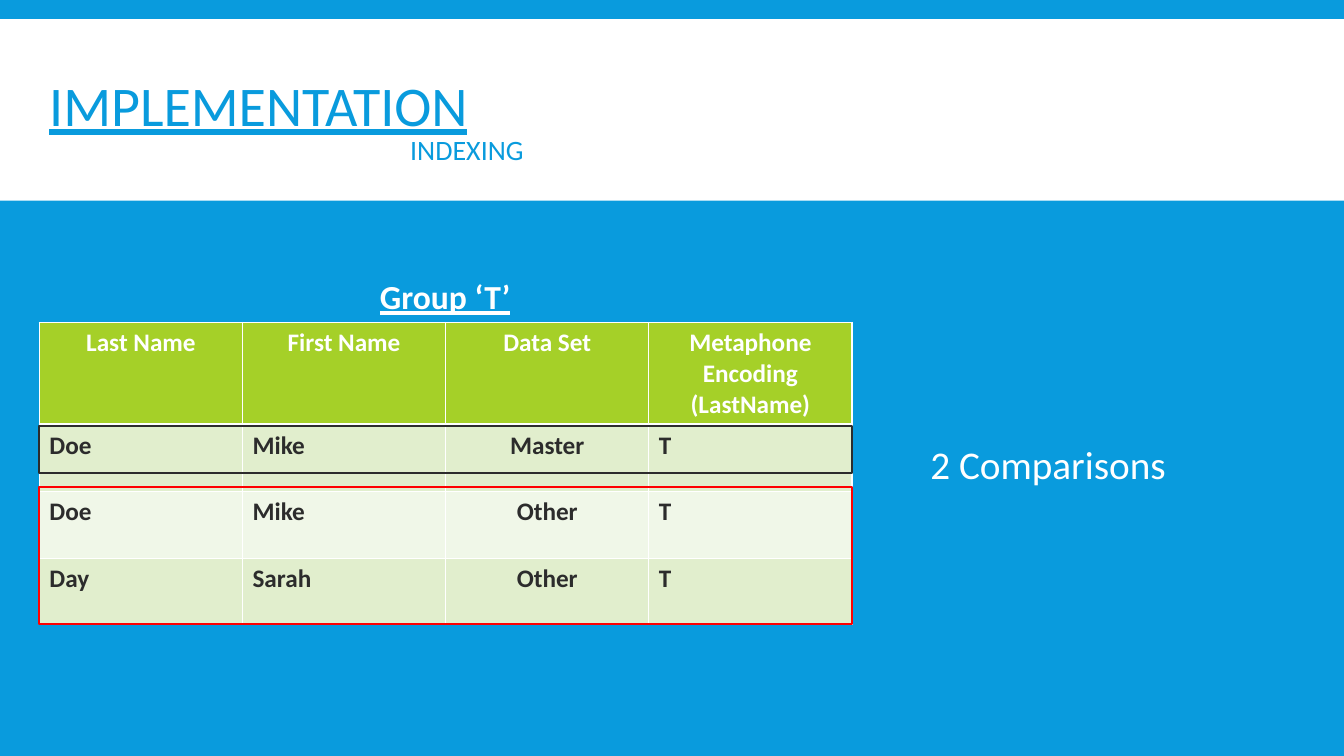
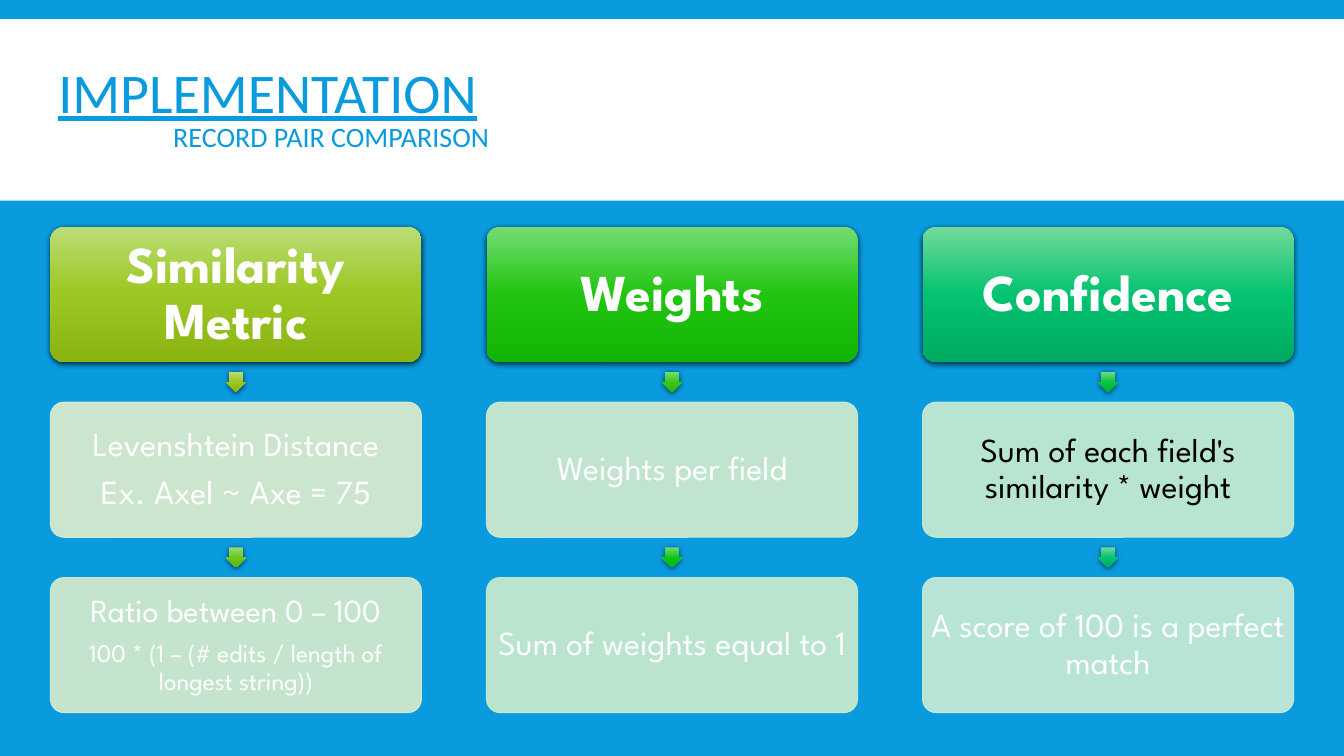
from lxml.etree import SubElement
from pptx import Presentation
from pptx.dml.color import RGBColor
from pptx.enum.shapes import MSO_SHAPE
from pptx.enum.text import MSO_ANCHOR, PP_ALIGN
from pptx.oxml.ns import qn
from pptx.util import Inches, Pt

BLUE, WHITE, DARK, RED, BLACK = "099BDD", "FFFFFF", "2C2C2C", "FF0000", "000000"
GREEN, PALE, PALER = "A5D028", "E1EECD", "F0F7E8"
SLIDE_WIDTH = 13.33


def color(value):
    return RGBColor.from_string(value)


def add_xml(parent, tag, **attributes):
    return SubElement(parent, qn(tag), {key: str(value) for key, value in attributes.items()})


class Deck:
    """Holds the shared style and the slide being built."""

    body_font = "Calibri"
    diagram_font = "League Spartan"

    def __init__(self):
        self.presentation = Presentation()
        self.presentation.slide_width = Inches(SLIDE_WIDTH)
        self.presentation.slide_height = Inches(7.5)
        self.slide = None

    def new_slide(self, left, top, subtitle, indent):
        """Start a slide with its blue ground, white band and two-line title."""
        self.slide = self.presentation.slides.add_slide(self.presentation.slide_layouts[6])
        background = self.slide.background.fill
        background.solid()
        background.fore_color.rgb = color(BLUE)
        self.shape(MSO_SHAPE.RECTANGLE, 0, 0.19, SLIDE_WIDTH, 1.8, fill=WHITE)
        frame = self.text_box(left, top, 10.7, 1.65)
        frame.vertical_anchor = MSO_ANCHOR.MIDDLE
        heading = self.set_text(frame.paragraphs[0], "IMPLEMENTATION", 40, BLUE)
        heading.font.underline = True
        heading.line_spacing = 0.85
        second = frame.add_paragraph()
        second.line_spacing = 0.85
        second._p.get_or_add_pPr().set("marL", str(Inches(indent)))
        self.set_text(second, subtitle, 20, BLUE)

    def set_text(self, paragraph, text, size, text_color, bold=False, font=body_font, align=None):
        paragraph.text = text
        paragraph.alignment = align
        style = paragraph.font
        style.name, style.size, style.bold = font, Pt(size), bold
        style.color.rgb = color(text_color)
        return paragraph

    def text_box(self, left, top, width, height):
        box = self.slide.shapes.add_textbox(Inches(left), Inches(top), Inches(width), Inches(height))
        box.text_frame.word_wrap = True
        return box.text_frame

    def label(self, left, top, width, height, text, size, bold=False):
        paragraph = self.text_box(left, top, width, height).paragraphs[0]
        return self.set_text(paragraph, text, size, WHITE, bold, align=PP_ALIGN.CENTER)

    def shape(self, kind, left, top, width, height, fill=None, line=None, line_width=1.5):
        shape = self.slide.shapes.add_shape(
            kind, Inches(left), Inches(top), Inches(width), Inches(height))
        shape.shadow.inherit = False
        if fill:
            shape.fill.solid()
            shape.fill.fore_color.rgb = color(fill)
        else:
            shape.fill.background()
        if line:
            shape.line.color.rgb = color(line)
            shape.line.width = Pt(line_width)
        else:
            shape.line.fill.background()
        return shape

    def glossy(self, shape, stops):
        """Give a shape a top-to-bottom gradient and a soft shadow."""
        shape.fill.gradient()
        shape.fill.gradient_angle = 270
        properties = shape._element.spPr
        stop_list = properties.find(qn("a:gradFill")).find(qn("a:gsLst"))
        stop_list.clear()
        for position, value in zip((0, 50000, 100000), stops):
            add_xml(add_xml(stop_list, "a:gs", pos=position), "a:srgbClr", val=value)
        shadow = add_xml(properties.find(qn("a:effectLst")), "a:outerShdw", blurRad=Pt(4),
                         dist=Pt(1.2), dir=5400000, algn="ctr", rotWithShape=0)
        add_xml(add_xml(shadow, "a:srgbClr", val=BLACK), "a:alpha", val=68000)

    def card(self, left, top, width, height, lines, margin, fill=None, stops=None):
        """Rounded box; each line is (text, size, colour, bold)."""
        card = self.shape(MSO_SHAPE.ROUNDED_RECTANGLE, left, top, width, height, fill, fill, 0.75)
        card.adjustments[0] = 0.1
        if stops:
            self.glossy(card, stops)
        else:
            for node in card._element.spPr.iter(qn("a:srgbClr")):
                add_xml(node, "a:alpha", val=90000)
        frame = card.text_frame
        frame.word_wrap = True
        frame.vertical_anchor = MSO_ANCHOR.MIDDLE
        frame.margin_left = frame.margin_right = Inches(margin)
        frame.margin_top = frame.margin_bottom = Inches(margin)
        for index, (text, size, text_color, bold) in enumerate(lines):
            paragraph = frame.add_paragraph() if index else frame.paragraphs[0]
            paragraph.line_spacing = 0.9
            if index:
                paragraph.space_before = Pt(8.4)
            self.set_text(paragraph, text, size, text_color, bold,
                          self.diagram_font, PP_ALIGN.CENTER)

    def arrow(self, center, top, size, stops):
        arrow = self.shape(MSO_SHAPE.DOWN_ARROW, center - size / 2, top, size, size)
        arrow.adjustments[0], arrow.adjustments[1] = 0.67, 0.5
        self.glossy(arrow, stops)

    def table(self, left, top, column_width, row_heights, rows, centered_column):
        table = self.slide.shapes.add_table(
            len(rows), len(rows[0]), Inches(left), Inches(top),
            Inches(column_width * len(rows[0])), Inches(sum(row_heights))).table
        for column in table.columns:
            column.width = Inches(column_width)
        for row_index, (row, height, texts) in enumerate(zip(table.rows, row_heights, rows)):
            row.height = Inches(height)
            header = row_index == 0
            fill = GREEN if header else (PALER, PALE)[row_index % 2]
            for column_index, (cell, text) in enumerate(zip(row.cells, texts)):
                self.borders(cell, top_width=3 if row_index == 1 else 1,
                             bottom_width=3 if header else 1)
                cell.fill.solid()
                cell.fill.fore_color.rgb = color(fill)
                centered = header or column_index == centered_column
                cell.text = text
                for paragraph in cell.text_frame.paragraphs:
                    self.set_text(paragraph, paragraph.text, 18, WHITE if header else DARK, True,
                                  align=PP_ALIGN.CENTER if centered else PP_ALIGN.LEFT)

    def borders(self, cell, top_width, bottom_width):
        properties = cell._tc.get_or_add_tcPr()
        for side, width in (("L", 1), ("R", 1), ("T", top_width), ("B", bottom_width)):
            line = add_xml(properties, f"a:ln{side}", w=Pt(width))
            add_xml(add_xml(line, "a:solidFill"), "a:srgbClr", val=WHITE)


def build_indexing(deck):
    deck.new_slide(0.39, 0.4, "INDEXING", 3.58)
    left, width = 0.39, 8.06
    deck.table(left, 3.2, width / 4, (1.02, 0.66, 0.66, 0.66), (
        ("Last Name", "First Name", "Data Set", "Metaphone Encoding\n(LastName)"),
        ("Doe", "Mike", "Master", "T"),
        ("Doe", "Mike", "Other", "T"),
        ("Day", "Sarah", "Other", "T"),
    ), centered_column=2)
    deck.shape(MSO_SHAPE.RECTANGLE, left, 4.23, width, 0.46, line=DARK)
    deck.shape(MSO_SHAPE.RECTANGLE, left, 4.83, width, 1.36, line=RED)
    deck.label(8.83, 4.32, 3.13, 0.57, "2 Comparisons", 28)
    deck.label(2.02, 2.69, 4.79, 0.5, "Group ‘T’", 24, bold=True).font.underline = True


def build_comparison(deck):
    deck.new_slide(0.48, 0.27, "RECORD PAIR COMPARISON", 1.14)
    lime = ("BADD75", "9CC621", "8BB413")
    teal = ("72DA9A", "03C370", "00AA61")
    # heading, heading gradient, then (arrow gradient, card fill, card lines) downwards
    columns = (
        ("Similarity Metric", lime, (
            (lime, "E1EECD", (("Levenshtein Distance", 24, WHITE, False),
                              ("Ex. Axel ~ Axe = 75", 24, WHITE, False))),
            (("98DD74", "6DC61B", "5DB50C"), "DAEDCD", (
                ("Ratio between 0 – 100", 23, WHITE, False),
                ("100 * (1 – (# edits / length of longest string))", 18, WHITE, False))))),
        ("Weights", ("75DC73", "21C511", "13B504"), (
            (("7DDD73", "3BC614", "2CB506"), "D4EDCD",
             (("Weights per field", 24, WHITE, False),)),
            (("72DC73", "0EC516", "01B409"), "CEEDCC",
             (("Sum of weights equal to 1", 24, WHITE, False),)))),
        ("Confidence", teal, (
            (("72DB80", "08C442", "00B036"), "CCEDD1",
             (("Sum of each field's similarity * weight", 24, BLACK, False),)),
            (teal, "CCECD7",
             (("A score of 100 is a perfect match", 24, WHITE, False),)))),
    )
    margin, width, height, arrow_size, gap = 0.5, 3.68, 1.34, 0.2, 0.1
    column_step = (SLIDE_WIDTH - 2 * margin - width) / (len(columns) - 1)
    row_step = height + arrow_size + 2 * gap
    for column_index, (heading, stops, steps) in enumerate(columns):
        left, top = margin + column_index * column_step, 2.25
        deck.card(left, top, width, height, ((heading, 37, WHITE, True),), 0.05, stops=stops)
        for arrow_stops, fill, lines in steps:
            deck.arrow(left + width / 2, top + height + gap, arrow_size, arrow_stops)
            top += row_step
            deck.card(left, top, width, height, lines, 0.03, fill=fill)


def main():
    deck = Deck()
    build_indexing(deck)
    build_comparison(deck)
    deck.presentation.save("out.pptx")


if __name__ == "__main__":
    main()
